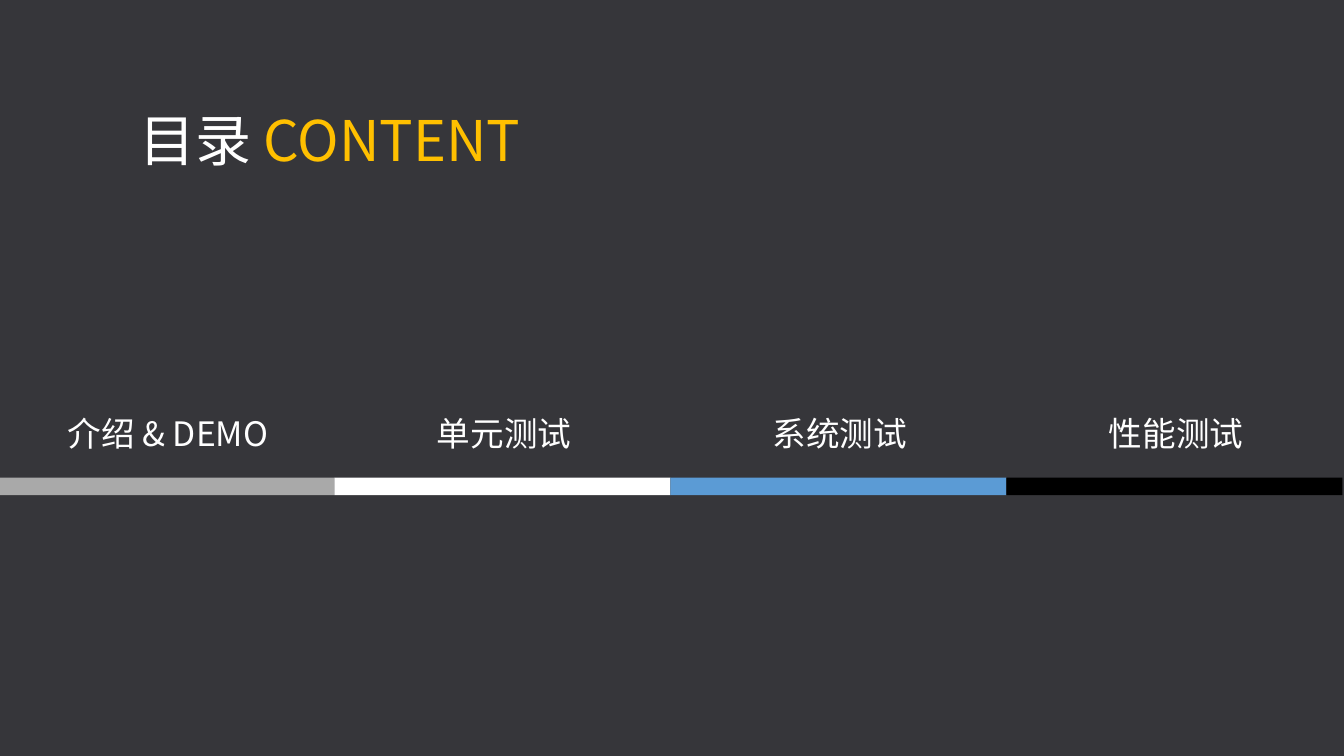
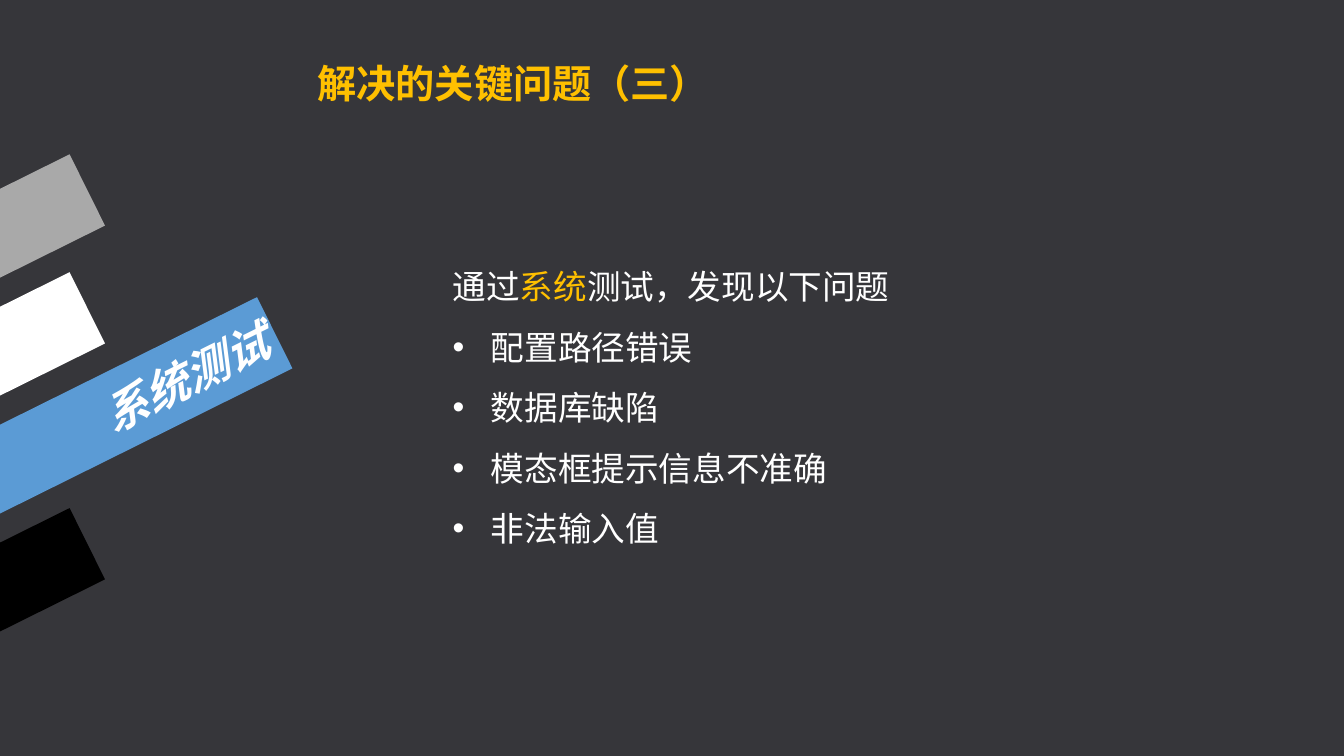
"""Builds a contents slide and a test findings slide that share one colour band."""
from math import cos, radians, sin

from lxml import etree
from pptx import Presentation
from pptx.dml.color import RGBColor
from pptx.enum.shapes import MSO_SHAPE
from pptx.enum.text import MSO_ANCHOR, PP_ALIGN
from pptx.oxml.ns import qn
from pptx.util import Inches, Pt

RECT = MSO_SHAPE.RECTANGLE
TOP, MIDDLE, BOTTOM = MSO_ANCHOR.TOP, MSO_ANCHOR.MIDDLE, MSO_ANCHOR.BOTTOM
LEFT, CENTER, RIGHT = PP_ALIGN.LEFT, PP_ALIGN.CENTER, PP_ALIGN.RIGHT

DARK = RGBColor(0x36, 0x36, 0x3A)
GREY = RGBColor(0xA9, 0xA9, 0xA9)
WHITE = RGBColor(0xFF, 0xFF, 0xFF)
BLUE = RGBColor(0x5B, 0x9B, 0xD5)
BLACK = RGBColor(0, 0, 0)
GOLD = RGBColor(0xFF, 0xC0, 0)

FONT = "Noto Sans CJK SC"
WIDTH, HEIGHT = Inches(13.33), Inches(7.5)
COL, ROW = WIDTH / 40, HEIGHT / 30
INSET = Inches(0.05)
INDENT = Inches(0.38)
TILT = -26.4
SECTION_COLS = 10
SECTIONS = [("介绍 & DEMO", GREY), ("单元测试", WHITE),
            ("系统测试", BLUE), ("性能测试", BLACK)]
FINDINGS = ["配置路径错误", "数据库缺陷", "模态框提示信息不准确", "非法输入值"]


def cells(col, row, cols, rows):
    """Turn grid units into left, top, width and height."""
    return [round(v) for v in (col * COL, row * ROW, cols * COL, rows * ROW)]


def add_slide(prs):
    """Add a blank slide with the dark background."""
    s = prs.slides.add_slide(prs.slide_layouts[6])
    s.background.fill.solid()
    s.background.fill.fore_color.rgb = DARK
    return s


def set_frame(tf, anchor=TOP, inset=INSET):
    """Set wrapping, anchor and margins of a text frame."""
    formats = dict(word_wrap=True, vertical_anchor=anchor, margin_left=inset,
                   margin_right=inset, margin_top=INSET, margin_bottom=INSET)
    for name, value in formats.items():
        setattr(tf, name, value)


def add_runs(p, runs, size, align=LEFT, **font):
    """Fill a paragraph with (text, colour) runs of one size."""
    p.alignment = align
    for text, color in runs:
        r = p.add_run()
        r.text = text
        for name, value in dict(name=FONT, size=Pt(size), **font).items():
            setattr(r.font, name, value)
        r.font.color.rgb = color
        r.font.language_id = None
        latin = r.font._element.find(qn("a:latin"))
        east_asian = etree.Element(qn("a:ea"), typeface=FONT)
        latin.addnext(east_asian)


def add_bullet(p):
    """Give a paragraph a round bullet with a hanging indent."""
    pPr = p._p.get_or_add_pPr()
    pPr.set("marL", str(INDENT))
    pPr.set("indent", str(-INDENT))
    etree.SubElement(pPr, qn("a:buFont"), typeface="Arial")
    etree.SubElement(pPr, qn("a:buChar"), char="•")


def add_text(s, box, runs, size, align=LEFT, anchor=TOP, **font):
    """Add a text box with one paragraph and return its frame."""
    tf = s.shapes.add_textbox(*box).text_frame
    set_frame(tf, anchor)
    add_runs(tf.paragraphs[0], runs, size, align, **font)
    return tf


def add_bar(s, box, color, rotation=0):
    """Add a plain coloured bar."""
    bar = s.shapes.add_shape(RECT, *box)
    bar.shadow.inherit = False
    bar.fill.solid()
    bar.fill.fore_color.rgb = color
    bar.line.fill.background()
    bar.rotation = rotation
    return bar


def add_tilted_bars(s, active):
    """Stack the section bars at the left edge and slide the active one out."""
    for i, (name, color) in enumerate(SECTIONS):
        left, top, width, height = cells(-6.88, 8.92 + 4.68 * i, SECTION_COLS, 3.16)
        if name == active:
            reach = 6.23 * COL
            left += round(reach * cos(radians(TILT)))
            top += round(reach * sin(radians(TILT)))
        bar = add_bar(s, (left, top, width, height), color, TILT)
        if name == active:
            set_frame(bar.text_frame, MIDDLE, 2 * INSET)
            add_runs(bar.text_frame.paragraphs[0], [(name, WHITE)], 32, RIGHT,
                     bold=True, italic=True)


def build_contents(prs):
    """Build the contents slide with a label above each section bar."""
    s = add_slide(prs)
    add_text(s, cells(4, 4, 16, 3.5), [("目录 ", WHITE), ("CONTENT", GOLD)], 40)
    for i, (name, color) in enumerate(SECTIONS):
        col = i * SECTION_COLS
        add_bar(s, cells(col - 0.05, 18.95, SECTION_COLS, 0.7), color)
        add_text(s, cells(col, 15.2, SECTION_COLS, 3), [(name, WHITE)], 24,
                 CENTER, BOTTOM)


def build_findings(prs):
    """Build the slide that lists what the system test found."""
    s = add_slide(prs)
    add_tilted_bars(s, "系统测试")
    add_text(s, cells(9.3, 2.16, 14, 2.64), [("解决的关键问题（三）", GOLD)], 28,
             bold=True)
    tf = add_text(s, cells(13.32, 9.56, 15, 13.24),
                  [("通过", WHITE), ("系统", GOLD), ("测试，发现以下问题", WHITE)], 24)
    for finding in FINDINGS:
        p = tf.add_paragraph()
        add_runs(p, [(finding, WHITE)], 24)
    for p in tf.paragraphs:
        p.line_spacing = 1.5
    for p in tf.paragraphs[1:]:
        add_bullet(p)


def main():
    """Build and save the presentation."""
    prs = Presentation()
    prs.slide_width, prs.slide_height = WIDTH, HEIGHT
    build_contents(prs)
    build_findings(prs)
    prs.save("out.pptx")


if __name__ == "__main__":
    main()
